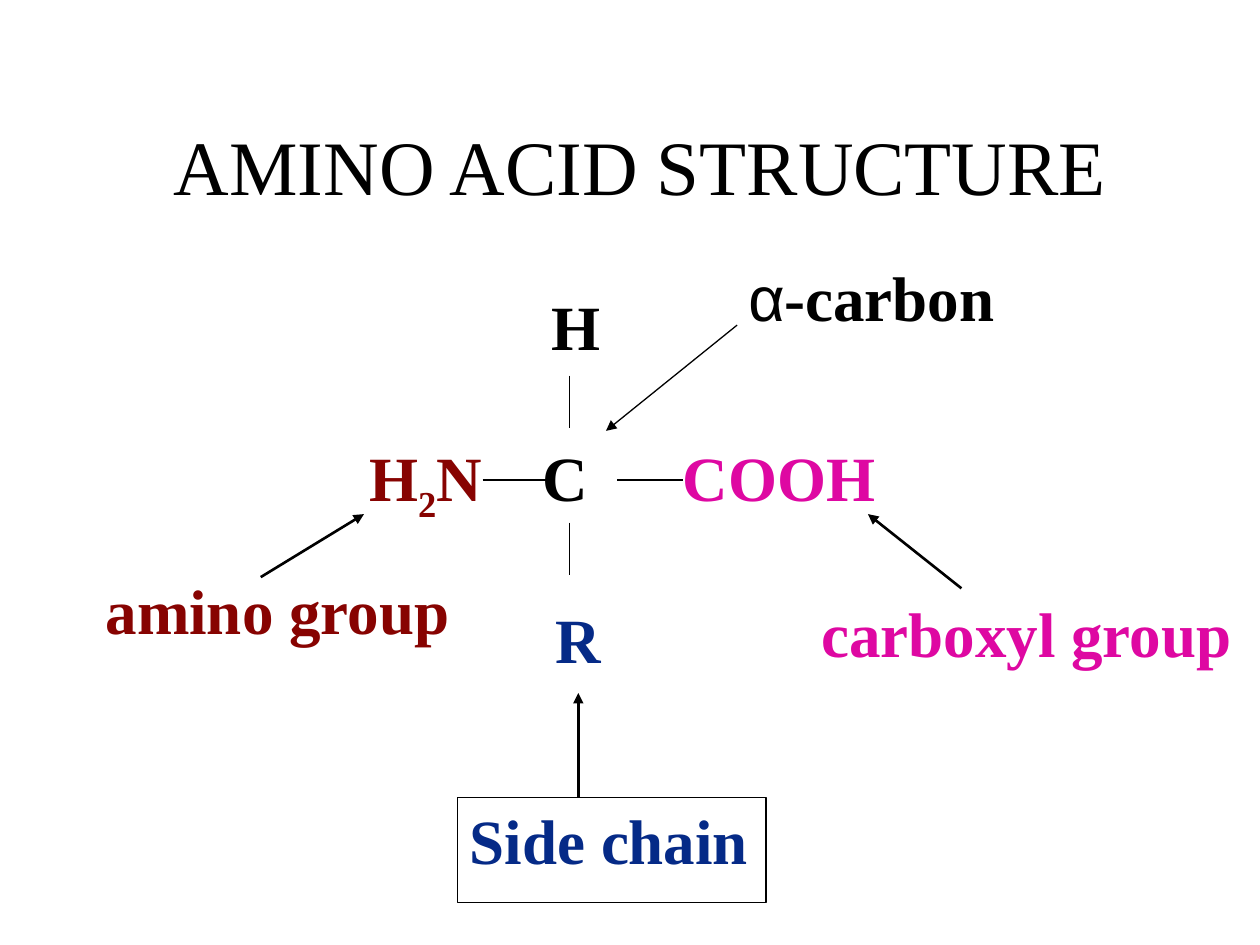
from pptx import Presentation
from pptx.dml.color import RGBColor as Rgb
from pptx.enum.shapes import MSO_CONNECTOR as Conn, MSO_SHAPE as Geo
from pptx.enum.text import MSO_ANCHOR as Anchor, PP_ALIGN as Align
from pptx.oxml.ns import qn
from pptx.util import Pt
from lxml.etree import SubElement as Sub

INK = {"black": "000000", "amine": "870301", "acid": "DE08A2", "side": "052A87"}


class Board:
    """Draws labels, lines and frames on one slide in a shared style."""

    def __init__(self, slide):
        self.slide = slide
        self.face = "Times New Roman"
        self.size = 36

    def ink(self, name):
        return Rgb.from_string(INK[name])

    def style(self, run, ink, size, bold):
        font = run.font
        font.name, font.size, font.bold = self.face, Pt(size), bold
        font.color.rgb = self.ink(ink)

    def label(self, left, top, wide, parts, ink="black", high=50.4, size=None, bold=True):
        box = self.slide.shapes.add_textbox(Pt(left), Pt(top), Pt(wide), Pt(high))
        para = box.text_frame.paragraphs[0]
        for part in parts:
            run = para.add_run()
            run.text = part
            self.style(run, ink, size or self.size, bold)
        return box.text_frame

    def title(self, left, top, wide, high, text):
        frame = self.label(left, top, wide, [text], high=high, size=44, bold=False)
        frame.word_wrap = True
        frame.vertical_anchor = Anchor.MIDDLE
        frame.paragraphs[0].alignment = Align.CENTER

    def line(self, start, end, width=0.75, arrow=False):
        link = self.slide.shapes.add_connector(
            Conn.STRAIGHT, *(Pt(n) for n in (*start, *end)))
        link.line.color.rgb = self.ink("black")
        link.line.width = Pt(width)
        if arrow:
            Sub(link.line._get_or_add_ln(), qn("a:tailEnd"), type="triangle")
        Sub(link._element.spPr, qn("a:effectLst"))

    def frame(self, left, top, wide, high):
        rect = self.slide.shapes.add_shape(
            Geo.RECTANGLE, Pt(left), Pt(top), Pt(wide), Pt(high))
        rect.shadow.inherit = False
        rect.fill.background()
        rect.line.color.rgb = self.ink("black")
        rect.line.width = Pt(0.75)


def main():
    deck = Presentation()
    deck.slide_width, deck.slide_height = Pt(720), Pt(540)
    board = Board(deck.slides.add_slide(deck.slide_layouts[6]))

    board.title(60, 49, 612, 90, "AMINO ACID STRUCTURE")

    row = 247
    board.label(308.2, 160.6, 43, ["H"])
    amine = board.label(203.8, row, 80, ["H", "2", "N"], "amine")
    amine.paragraphs[0].runs[1].font._element.set("baseline", "-25000")
    board.label(303.2, row, 41, ["C"])
    board.label(383.2, row, 125, ["COOH"], "acid")
    board.label(310.5, 339.9, 41, ["R"], "side")

    mid, axis = 325.4, 274.3
    for top in (214.6, 298.6):
        board.line((mid, top), (mid, top + 30))
    for left in (275.8, 352.8):
        board.line((left, axis), (left + 37.4, axis))

    board.label(53.3, 323.3, 211, ["amino group"], "amine")
    board.label(462.2, 336.2, 249, ["carboxyl group"], "acid")
    board.label(261.4, 454.3, 173.5, ["Side chain"], "side")
    alpha = board.label(420.5, 144, 157, ["α", "-carbon"])
    font = alpha.paragraphs[0].runs[0].font
    font.name, font.bold = "Arial", False

    for start, end, width in (
        ((149, 329.8), (208, 293.8), 1.5),
        ((549.4, 336.2), (496, 293.8), 1.5),
        ((330.5, 455.8), (330.5, 396), 1.5),
        ((421.2, 185.8), (346.3, 246.2), 0.75),
    ):
        board.line(start, end, width, arrow=True)
    board.frame(261.4, 455.8, 176.4, 59.8)

    deck.save("out.pptx")


if __name__ == "__main__":
    main()
